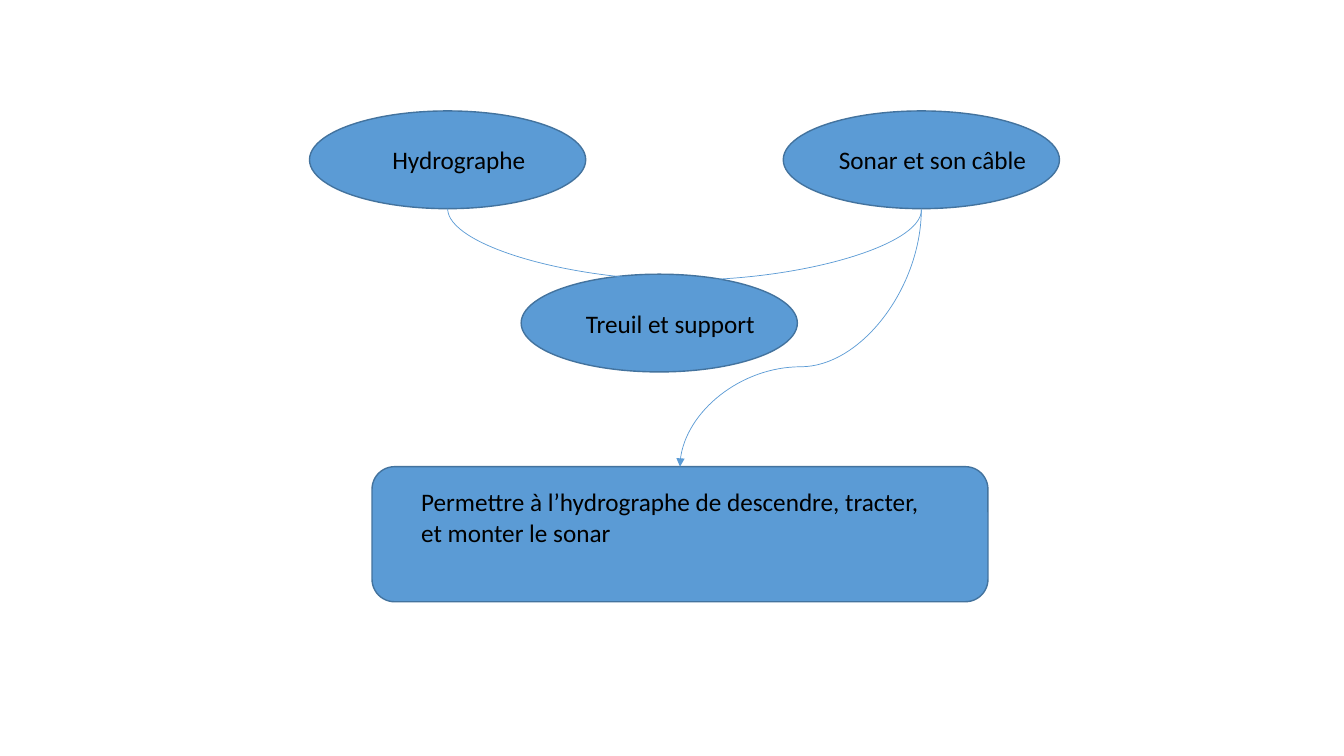
import pptx
import pptx.dml.color
import pptx.enum.shapes
import pptx.enum.text
import pptx.oxml
import pptx.oxml.ns
import pptx.util

SLIDE_W = pptx.util.Inches(13.33)
SLIDE_H = pptx.util.Inches(7.5)
BLUE = pptx.dml.color.RGBColor(0x5B, 0x9B, 0xD5)
DARK_BLUE = pptx.dml.color.RGBColor(0x43, 0x73, 0x9E)
BLACK = pptx.dml.color.RGBColor(0x00, 0x00, 0x00)
SHAPE = pptx.enum.shapes.MSO_SHAPE
ALIGN = pptx.enum.text.PP_ALIGN

# Sizes in hundredths of the slide's width (columns) and height (rows)
ELLIPSE_W, ELLIPSE_H = 20.55, 12.93
LABEL_W, LABEL_H, LABEL_DROP = 22.2, 5.33, 3.8


def col(n):
    return round(SLIDE_W * n / 100)


def row(n):
    return round(SLIDE_H * n / 100)


def add_box(s, kind, x, y, w, h):
    sp = s.shapes.add_shape(kind, col(x), row(y), col(w), row(h))
    sp.shadow.inherit = False
    sp.fill.solid()
    sp.fill.fore_color.rgb = BLUE
    sp.line.color.rgb = DARK_BLUE
    sp.line.width = pptx.util.Pt(1)
    return sp


def add_text(s, text, x, y, w, h, align):
    tf = s.shapes.add_textbox(col(x), row(y), col(w), row(h)).text_frame
    tf.word_wrap = True
    tf.auto_size = pptx.enum.text.MSO_AUTO_SIZE.SHAPE_TO_FIT_TEXT
    p = tf.paragraphs[0]
    p.alignment = align
    r = p.add_run()
    r.text = text
    r.font.name = "Calibri"
    r.font.size = pptx.util.Pt(18)
    r.font.color.rgb = BLACK


def add_actor(s, text, x, y):
    """Add an ellipse with its label; return the ellipse."""
    sp = add_box(s, SHAPE.OVAL, x, y, ELLIPSE_W, ELLIPSE_H)
    add_text(s, text, x, y + LABEL_DROP, LABEL_W, LABEL_H, ALIGN.CENTER)
    return sp


def bottom_middle(sp):
    return sp.left + sp.width // 2, sp.top + sp.height


def add_curve(s, start, end, drop, arrow=False):
    """Curve that leaves start downwards and turns after the given drop."""
    (x1, y1), (x2, y2) = start, end
    w, h = y2 - y1, abs(x2 - x1)
    left, top = (x1 + x2 - w) // 2, (y1 + y2 - h) // 2
    rightward = x2 > x1
    begin_x, end_x = (left + w, left) if rightward else (left, left + w)
    cxn = s.shapes.add_connector(
        pptx.enum.shapes.MSO_CONNECTOR.CURVE, begin_x, top, end_x, top + h)
    cxn.line.color.rgb = BLUE
    cxn.line.width = pptx.util.Pt(0.5)
    sp_pr = cxn._element.spPr
    sp_pr.find(pptx.oxml.ns.qn("a:xfrm")).set(
        "rot", str((270 if rightward else 90) * 60000))
    geom = sp_pr.find(pptx.oxml.ns.qn("a:prstGeom"))
    guides = geom.find(pptx.oxml.ns.qn("a:avLst"))
    guide = pptx.oxml.parse_xml(
        f'<a:gd {pptx.oxml.ns.nsdecls("a")} name="adj1" '
        f'fmla="val {round(100000 * drop / w)}"/>')
    guides.append(guide)
    if arrow:
        cxn.line._get_or_add_ln().append(pptx.oxml.parse_xml(
            f'<a:tailEnd {pptx.oxml.ns.nsdecls("a")} type="triangle"/>'))
    sp_pr.append(pptx.oxml.parse_xml(
        f'<a:effectLst {pptx.oxml.ns.nsdecls("a")}/>'))


def main():
    prs = pptx.Presentation()
    prs.slide_width, prs.slide_height = SLIDE_W, SLIDE_H
    s = prs.slides.add_slide(prs.slide_layouts[6])

    hydrographer = add_actor(s, "Hydrographe", 23.03, 14.67)
    sonar = add_actor(s, "Sonar et son câble", 58.28, 14.67)
    add_actor(s, "Treuil et support", 38.78, 36.27)
    purpose = add_box(s, SHAPE.ROUNDED_RECTANGLE, 27.68, 61.73, 45.83, 17.87)
    add_text(s, "Permettre à l’hydrographe de descendre, tracter, "
             "et monter le sonar", 30.6, 63.73, 39.08, 9.47, ALIGN.LEFT)

    sonar_x, sonar_y = bottom_middle(sonar)
    add_curve(s, bottom_middle(hydrographer),
              (sonar_x, sonar_y + pptx.util.Pt(1)), row(9.52))
    add_curve(s, (sonar_x, sonar_y),
              (purpose.left + purpose.width // 2, purpose.top),
              row(20.93), arrow=True)
    prs.save("out.pptx")


if __name__ == "__main__":
    main()
